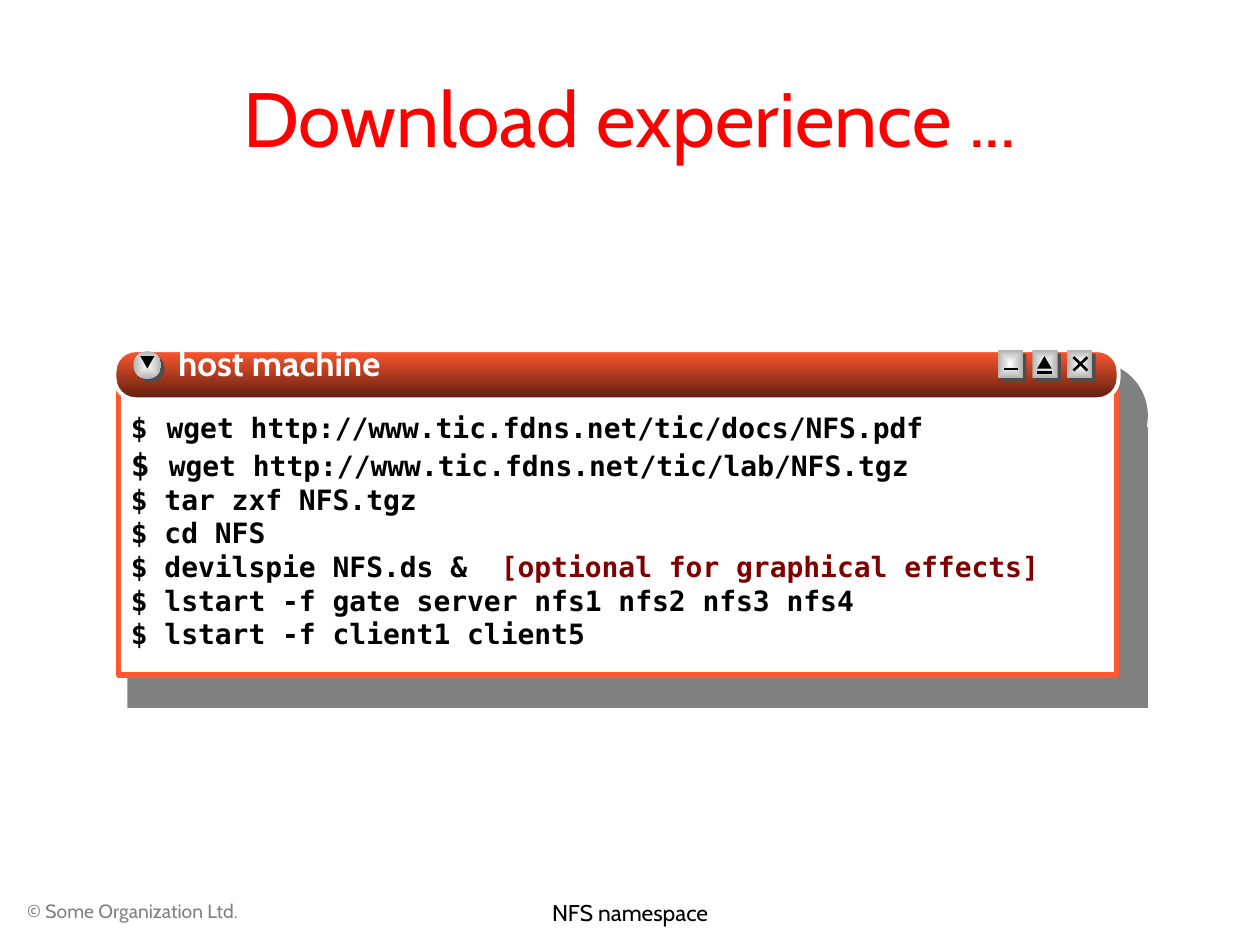
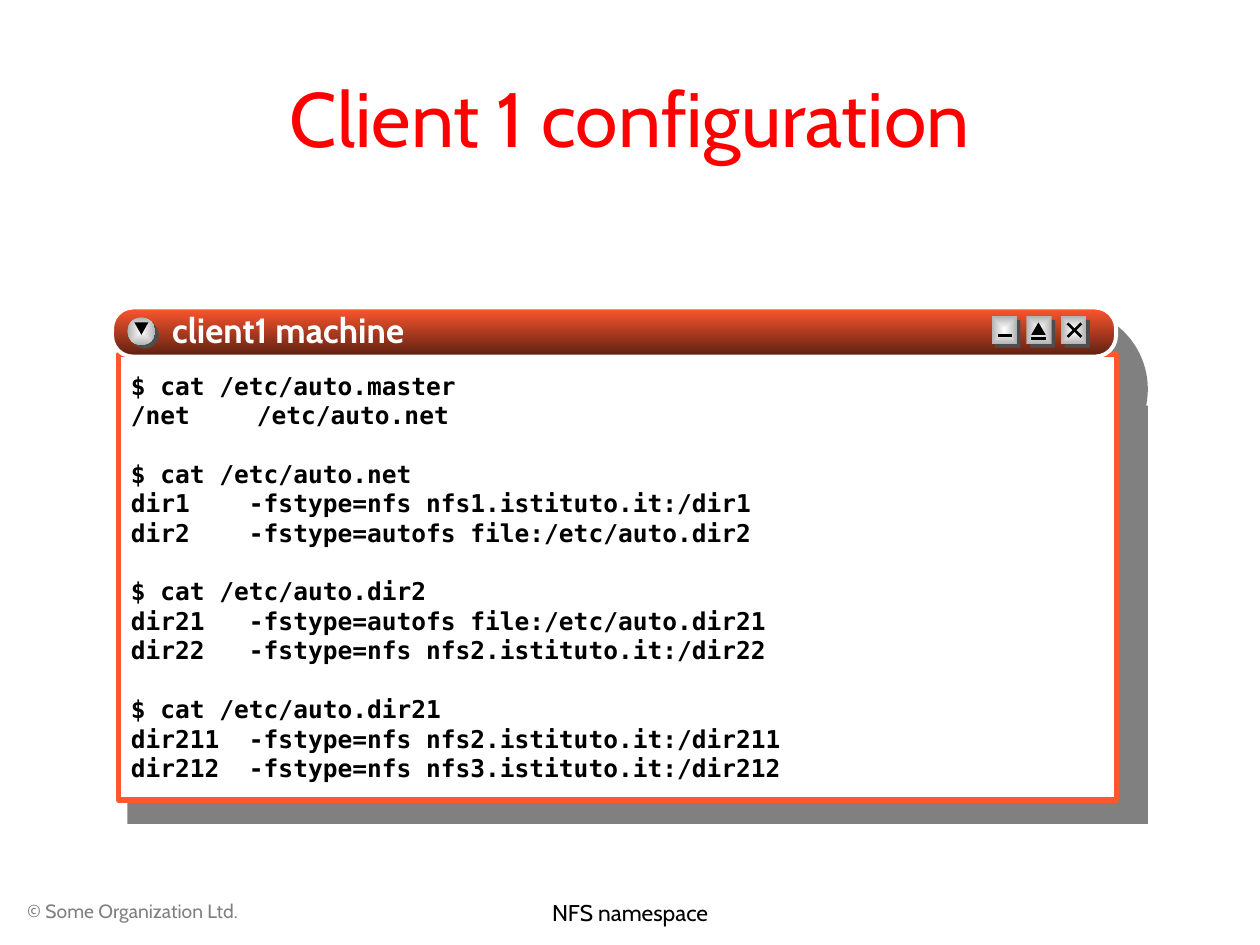
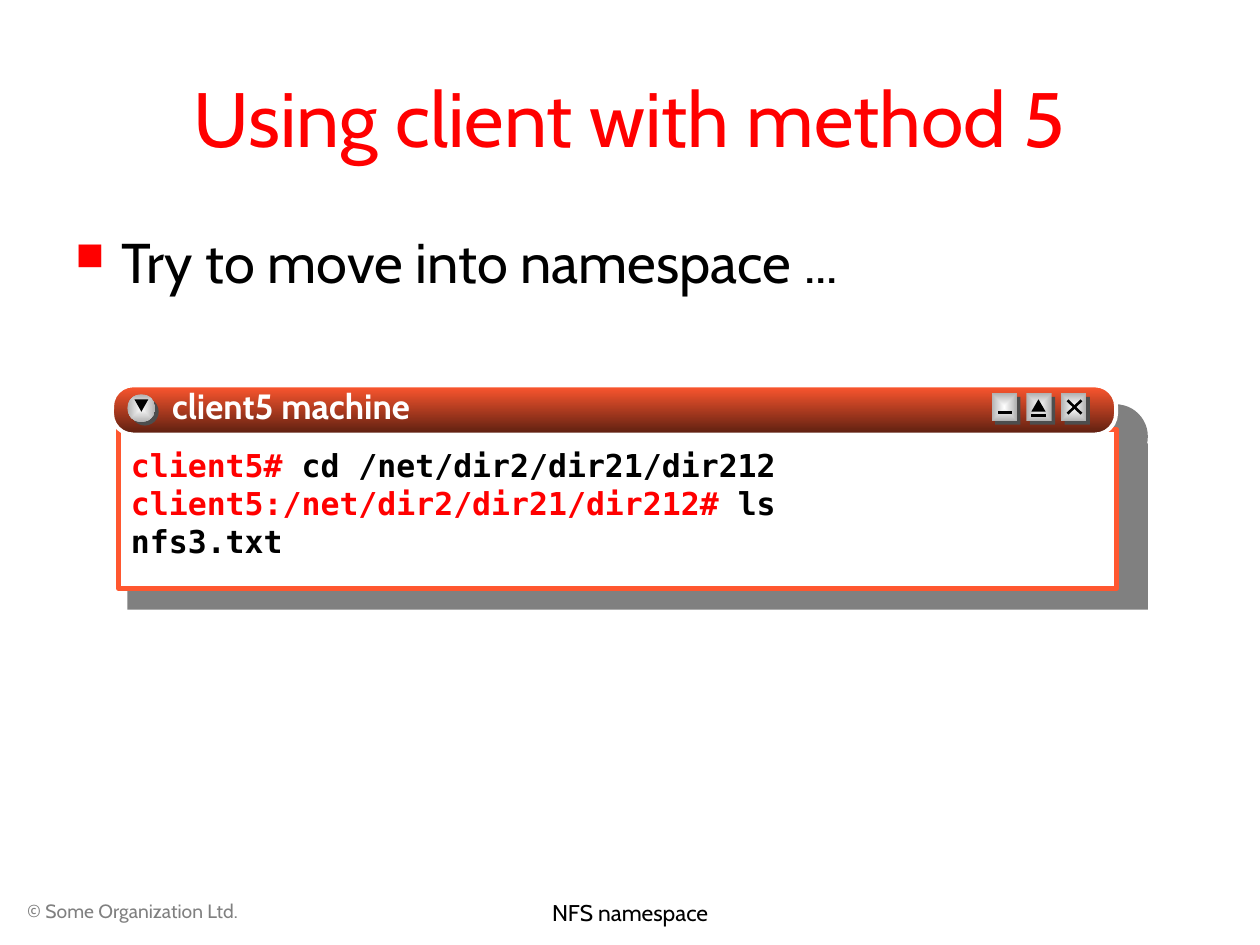
from lxml import etree
from pptx import Presentation
from pptx import util as u
from pptx.dml.color import RGBColor
from pptx.enum import shapes, text
from pptx.oxml import ns

RED, BLACK, WHITE, GREY = "FF0000", "000000", "FFFFFF", "808080"
ORANGE, RUST, MAROON, DARK = "FF572F", "5B1F10", "800000", "4D4D4D"
PALE, SILVER = "FEFEFE", "B2B2B2"
SANS, MONO = "Cabin", "DejaVu Sans Mono"
KIND = shapes.MSO_SHAPE
TOP, MIDDLE = text.MSO_ANCHOR.TOP, text.MSO_ANCHOR.MIDDLE
LEFT, CENTER = text.PP_ALIGN.LEFT, text.PP_ALIGN.CENTER
INSET = (0.25, 0.13)


def rgb(code):
    """Turn a hex string into a colour."""
    return RGBColor.from_string(code)


def node(home, tag, **attrs):
    """Append a drawing element with its attributes."""
    return etree.SubElement(home, ns.qn(tag), {k: str(v) for k, v in attrs.items()})


class Deck:
    """Hold the style and the current slide."""

    def __init__(self):
        """Open a blank show of 4:3 slides."""
        self.show = Presentation()
        self.show.slide_width, self.show.slide_height = u.Cm(25.4), u.Cm(19.05)

    def page(self, title):
        """Start a slide with its title and footers."""
        slide = self.show.slides.add_slide(self.show.slide_layouts[6])
        self.base = self.site = slide.shapes
        self.label(1.27, 0.76, 22.86, 3.18, title, 44, RED, CENTER)
        note = self.label(0.3, 17.93, 5.21, 0.91, "© Some Organization Ltd.", 11, GREY)
        note.line_spacing = 0.9
        self.label(6.5, 17.93, 12.4, 0.91, "NFS namespace", 13, BLACK, CENTER)

    def group(self):
        """Send the next shapes into a new group."""
        self.site = self.base.add_group_shape().shapes

    def frame(self, shape, anchor, inset):
        """Set up the text frame of a shape."""
        frame = shape.text_frame
        frame.word_wrap, frame.vertical_anchor = True, anchor
        frame.margin_left = frame.margin_right = u.Cm(inset[0])
        frame.margin_top, frame.margin_bottom = u.Cm(inset[1]), u.Cm(INSET[1])
        return frame

    def font(self, run, face, size, color, bold=False):
        """Style one run."""
        run.font.name, run.font.size, run.font.bold = face, u.Pt(size), bold
        run.font.color.rgb = rgb(color)

    def label(self, x, y, w, h, words, size, color, align=LEFT, anchor=MIDDLE,
              inset=INSET, bold=False):
        """Add one line of text and return its paragraph."""
        box = self.site.add_textbox(u.Cm(x), u.Cm(y), u.Cm(w), u.Cm(h))
        frame = self.frame(box, anchor, inset)
        frame.text = words
        line = frame.paragraphs[0]
        line.alignment = align
        self.font(line.runs[0], SANS, size, color, bold)
        return line

    def bullet(self, words):
        """Add the bulleted body text."""
        line = self.label(1.27, 4.45, 22.86, 12.57, words, 32, BLACK, anchor=TOP)
        props = line._p.get_or_add_pPr()
        props.set("marL", str(u.Cm(0.94)))
        props.set("indent", str(u.Cm(-0.94)))
        node(node(props, "a:buClr"), "a:srgbClr", val=RED)
        node(props, "a:buSzPct", val=70000)
        node(props, "a:buChar", char="■")

    def shape(self, kind, x, y, w, h, fill, line=None, width=1, bend=None):
        """Add a preset shape, with two colours as a gradient."""
        shape = self.site.add_shape(kind, u.Cm(x), u.Cm(y), u.Cm(w), u.Cm(h))
        shape.shadow.inherit = False
        if bend is not None:
            shape.adjustments[0] = bend
        if isinstance(fill, tuple):
            shape.fill.gradient()
            shape.fill.gradient_angle = 270
            for stop, color in zip(shape.fill.gradient_stops, fill):
                stop.color.rgb = rgb(color)
        else:
            shape.fill.solid()
            shape.fill.fore_color.rgb = rgb(fill)
        if line:
            shape.line.color.rgb = rgb(line)
            shape.line.width = u.Pt(width)
        else:
            shape.line.fill.background()
        return shape

    def stroke(self, x1, y1, x2, y2):
        """Add a black line of a button sign."""
        line = self.site.add_connector(shapes.MSO_CONNECTOR.STRAIGHT,
                                       u.Cm(x1), u.Cm(y1), u.Cm(x2), u.Cm(y2))
        line.line.color.rgb = rgb(BLACK)
        line.line.width = u.Pt(1.5)
        node(line._element.spPr, "a:effectLst")

    def button(self, kind, x, y, w):
        """Add a raised button that is bright in the middle."""
        self.shape(kind, x + 0.07, y + 0.07, w, 0.56, DARK)
        face = self.shape(kind, x, y, w, 0.56, (PALE, SILVER))
        grad = face._element.spPr.find(ns.qn("a:gradFill"))
        grad.remove(grad.find(ns.qn("a:lin")))
        node(node(grad, "a:path", path="rect"), "a:fillToRect",
             l=50000, t=50000, r=50000, b=50000)

    def signs(self, x, y):
        """Add the menu knob and the three window buttons."""
        self.group()
        self.button(KIND.OVAL, x, y, 0.56)
        self.shape(KIND.ISOSCELES_TRIANGLE, x + 0.14, y + 0.1, 0.28, 0.25,
                   BLACK).rotation = 180
        self.group()
        low, high, shut = (x + 17.42 + 0.7 * i for i in range(3))
        y -= 0.02
        for left in (low, high, shut):
            self.button(KIND.RECTANGLE, left, y, 0.51)
        self.stroke(low + 0.13, y + 0.38, low + 0.41, y + 0.38)
        self.shape(KIND.ISOSCELES_TRIANGLE, high + 0.1, y + 0.12, 0.29, 0.25, BLACK)
        self.stroke(high + 0.1, y + 0.45, high + 0.4, y + 0.45)
        self.stroke(shut + 0.13, y + 0.41, shut + 0.41, y + 0.14)
        self.stroke(shut + 0.13, y + 0.14, shut + 0.41, y + 0.41)
        self.site = self.base

    def code(self, shape, lines, size, gap):
        """Write command lines, with a gap before each line in a new block."""
        frame = self.frame(shape, TOP, (0.25, 0.33))
        for i, parts in enumerate(lines):
            line = frame.add_paragraph() if i else frame.paragraphs[0]
            line.alignment = LEFT
            if i and gap and parts[0][0].startswith("$"):
                line.space_before = u.Pt(gap)
            tabs = node(line._p.get_or_add_pPr(), "a:tabLst")
            node(tabs, "a:tab", pos=u.Cm(2.54), algn="l")
            for words, *style in parts:
                run = line.add_run()
                run.text = words
                color, points = (style + [BLACK, size][len(style):])
                self.font(run, MONO, points, color, True)

    def window(self, name, bar, knob, shade, curve, body, lines, size, gap=0):
        """Add a terminal window from the places of its parts."""
        self.group()
        self.shape(KIND.RECTANGLE, 2.57, shade[0], 20.57, shade[1], GREY)
        self.shape(KIND.ROUNDED_RECTANGLE, 2.57, curve[0], 20.57, curve[1], GREY, bend=0.5)
        self.site = self.base
        pane = self.shape(KIND.RECTANGLE, 2.39, body[0], 20.12, body[1], WHITE, ORANGE, 3)
        self.code(pane, lines, size, gap)
        self.shape(KIND.ROUNDED_RECTANGLE, *bar, 20.24, 0.99, (ORANGE, RUST),
                   WHITE, 2.25, 0.43)
        self.signs(*knob)
        line = self.label(knob[0] + 0.9, knob[1] - 0.19, 12.47, 0.99, name, 20, WHITE,
                          anchor=TOP, inset=(0, 0), bold=True)
        glow = etree.Element(ns.qn("a:effectLst"))
        cast = node(glow, "a:outerShdw", dist=u.Pt(2), dir=2700000)
        node(cast, "a:srgbClr", val=BLACK)
        line.runs[0].font._element.find(ns.qn("a:solidFill")).addnext(glow)


def main():
    """Build the three slides."""
    deck = Deck()

    deck.page("Download experience ...")
    deck.window(
        "host machine", bar=(2.31, 7.06), knob=(2.69, 7.08), shade=(8.61, 5.66),
        curve=(7.29, 2.18), body=(7.87, 5.74), size=16, lines=[
            [("$",), (" ", BLACK, 18), ("wget http://www.tic.fdns.net/tic/docs/NFS.pdf",)],
            [("$ ", BLACK, 18), ("wget http://www.tic.fdns.net/tic/lab/NFS.tgz",)],
            [("$ tar zxf NFS.tgz",)],
            [("$ cd NFS",)],
            [("$ devilspie NFS.ds &  ",), ("[optional for graphical effects]", MAROON)],
            [("$ lstart -f gate server nfs1 nfs2 nfs3 nfs4",)],
            [("$ lstart -f client1 client5",)],
        ])

    deck.page("Client 1 configuration")
    files = [
        "$ cat /etc/auto.master",
        "/net\t/etc/auto.net",
        "$ cat /etc/auto.net",
        "dir1    -fstype=nfs nfs1.istituto.it:/dir1",
        "dir2    -fstype=autofs file:/etc/auto.dir2",
        "$ cat /etc/auto.dir2",
        "dir21   -fstype=autofs file:/etc/auto.dir21",
        "dir22   -fstype=nfs nfs2.istituto.it:/dir22",
        "$ cat /etc/auto.dir21",
        "dir211  -fstype=nfs nfs2.istituto.it:/dir211",
        "dir212  -fstype=nfs nfs3.istituto.it:/dir212",
    ]
    deck.window(
        "client1 machine", bar=(2.26, 6.2), knob=(2.57, 6.4), shade=(8.18, 8.43),
        curve=(6.22, 3.25), body=(7.14, 8.99), size=14, gap=16.8,
        lines=[[(line,)] for line in files])

    deck.page("Using client with method 5")
    deck.bullet("Try to move into namespace ...")
    deck.window(
        "client5 machine", bar=(2.26, 7.77), knob=(2.57, 7.95), shade=(8.94, 3.35),
        curve=(8.15, 1.3), body=(8.66, 3.2), size=18, lines=[
            [("client5#", RED), (" cd /net/dir2/dir21/dir212",)],
            [("client5:/net/dir2/dir21/dir212#", RED), (" ls",)],
            [("nfs3.txt",)],
        ])

    deck.show.save("out.pptx")


if __name__ == "__main__":
    main()
